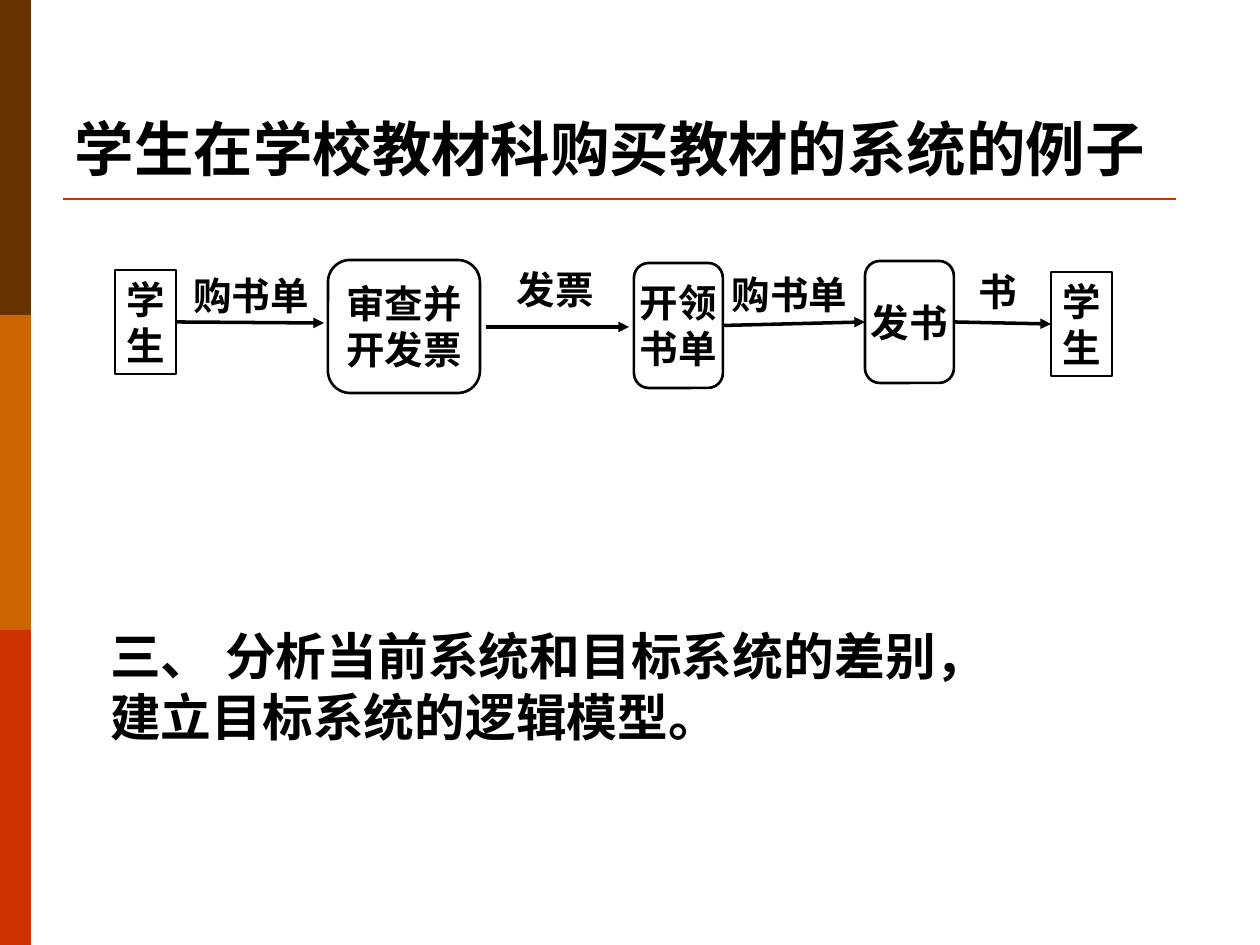
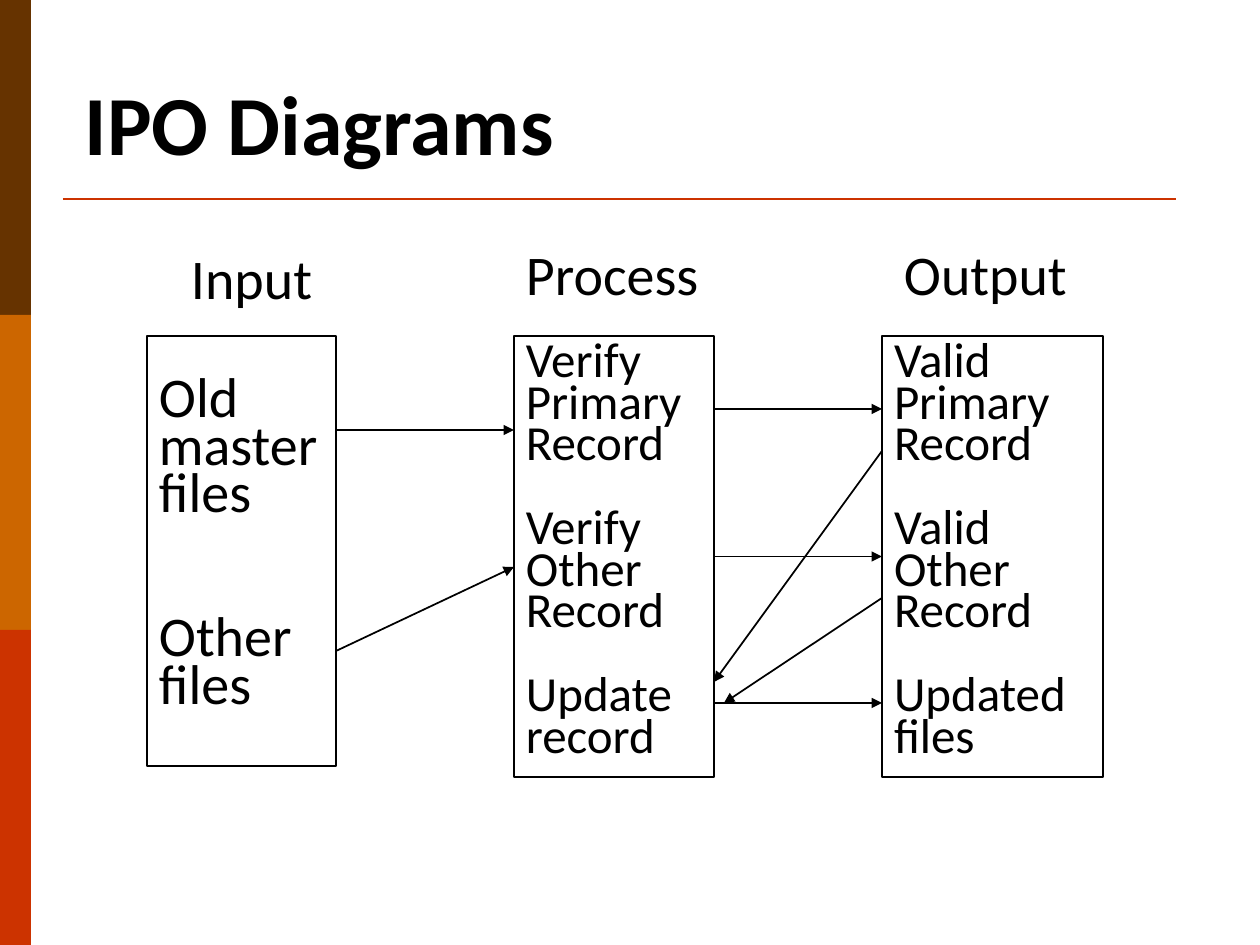
"""Build two slides: a textbook purchase flow and an IPO diagram."""
from lxml import etree
from pptx import Presentation
from pptx.dml.color import RGBColor
from pptx.enum import shapes, text
from pptx.oxml.ns import qn
from pptx.util import Pt

PX = 7257
W, H = 1260, 945
BLACK, RED = "000000", "CC3300"
BANDS = ["663300", "CC6600", RED]
CJK = "Noto Sans CJK SC"
RECT, ROUND = shapes.MSO_SHAPE.RECTANGLE, shapes.MSO_SHAPE.ROUNDED_RECTANGLE
TOP, MIDDLE, BOTTOM = text.MSO_ANCHOR.TOP, text.MSO_ANCHOR.MIDDLE, text.MSO_ANCHOR.BOTTOM
LEFT, CENTER = text.PP_ALIGN.LEFT, text.PP_ALIGN.CENTER


def put(s, at, txt="", kind=None, fill=None, border=0, size=22, font="Times New Roman",
        bold=False, align=LEFT, anchor=TOP, inset=(12, 6, 12, 6), spacing=None,
        before=0, gaps=None, tab=None):
    box = [v * PX for v in at]
    if kind is None:
        sp = s.shapes.add_textbox(*box)
    else:
        sp = s.shapes.add_shape(kind, *box)
        sp.shadow.inherit = False
        if fill:
            sp.fill.solid()
            sp.fill.fore_color.rgb = RGBColor.from_string(fill)
        else:
            sp.fill.background()
        if border:
            sp.line.color.rgb = RGBColor.from_string(BLACK)
            sp.line.width = Pt(border)
        else:
            sp.line.fill.background()
    if not txt:
        return sp
    tf = sp.text_frame
    tf.word_wrap = True
    tf.vertical_anchor = anchor
    tf.margin_left, tf.margin_top, tf.margin_right, tf.margin_bottom = [v * PX for v in inset]
    for i, row in enumerate(txt.split("\n")):
        p = tf.add_paragraph() if i else tf.paragraphs[0]
        p.text = row
        p.alignment = align
        p.line_spacing = spacing
        p.space_before = Pt((gaps or {}).get(i, before))
        if tab:
            tabs = etree.SubElement(p._p.get_or_add_pPr(), qn("a:tabLst"))
            etree.SubElement(tabs, qn("a:tab"), pos=str(tab * PX), algn="l")
        for r in p.runs:
            r.font.name, r.font.size, r.font.bold = font, Pt(size), bold
            r.font.color.rgb = RGBColor.from_string(BLACK)
            etree.SubElement(r._r.get_or_add_rPr(), qn("a:ea"), typeface=CJK)
    return sp


def line(s, ends, width=1, color=BLACK, head=True, begin=None, end=None):
    cn = s.shapes.add_connector(shapes.MSO_CONNECTOR.STRAIGHT, *[v * PX for v in ends])
    cn.line.color.rgb = RGBColor.from_string(color)
    cn.line.width = Pt(width)
    if head:
        etree.SubElement(cn.line._get_or_add_ln(), qn("a:tailEnd"), type="triangle")
    etree.SubElement(cn._element.spPr, qn("a:effectLst"))
    if begin:
        cn.begin_connect(begin, 3)
    if end:
        cn.end_connect(end, 1)


prs = Presentation()
prs.slide_width, prs.slide_height = W * PX, H * PX

titles = [
    ("学生在学校教材科购买教材的系统的例子", (63, 67, 1147, 122), 34, "Times New Roman"),
    ("IPO Diagrams", (73, 42, 1071, 136), 48, "Calibri"),
]
for title, at, size, font in titles:
    s = prs.slides.add_slide(prs.slide_layouts[6])
    for i, color in enumerate(BANDS):
        put(s, (0, i * H // 3, 31, H // 3), kind=RECT, fill=color)
    line(s, (63, 199, 1176, 199), width=1.5, color=RED, head=False)
    put(s, at, title, size=size, font=font, bold=True, anchor=BOTTOM)
flow, ipo = prs.slides

put(flow, (98, 619, 929, 134), "三、\t分析当前系统和目标系统的差别，\v建立目标系统的逻辑模型。",
    size=29, font=CJK, bold=True, tab=115)

for label, at, align in [
    ("购书单", (185, 267, 132, 52), CENTER),
    ("发票", (517, 261, 86, 52), LEFT),
    ("购书单", (732, 266, 122, 57), LEFT),
    ("书", (979, 263, 50, 43), LEFT),
]:
    put(flow, at, label, bold=True, align=align, inset=(0, 5, 0, 0))

buyer, receiver = [put(flow, (x, y, 61, 104), "学生", kind=RECT, border=1, bold=True)
                   for x, y in [(115, 270), (1051, 272)]]
check, order, issue = [
    put(flow, at, label, kind=ROUND, border=1.5, bold=True, align=CENTER,
        anchor=MIDDLE, inset=(0, 0, 0, 0))
    for label, at in [
        ("审查并开发票", (328, 260, 152, 133)),
        ("开领书单", (634, 263, 89, 125)),
        ("发书", (865, 261, 89, 122)),
    ]
]
for ends, begin, end in [
    ((176, 323, 324, 323), buyer, None),
    ((486, 327, 629, 327), None, None),
    ((723, 323, 866, 325), order, issue),
    ((956, 321, 1048, 323), issue, receiver),
]:
    line(flow, ends, width=2, begin=begin, end=end)

for heading, x, y in [("Input", 179, 237), ("Process", 514, 233), ("Output", 892, 233)]:
    put(ipo, (x, y, 220, 79), heading, size=32, font="Calibri", before=8)

sources, process, output = [
    put(ipo, (x, 336, w, h), rows, kind=RECT, border=1, size=size, font="Calibri",
        anchor=MIDDLE, spacing=0.5, before=before, gaps=gaps)
    for rows, x, w, h, size, before, gaps in [
        ("Old\nmaster\nfiles\nOther\nfiles", 147, 189, 430, 32, 8, {3: 63}),
        ("Verify\nPrimary\nRecord\nVerify\nOther\nRecord\nUpdate\nrecord",
         514, 200, 441, 28, 7, {3: 31, 6: 31}),
        ("Valid\nPrimary\nRecord\nValid\nOther\nRecord\nUpdated\nfiles",
         882, 221, 441, 28, 7, {3: 31, 6: 31}),
    ]
]
for ends in [
    (336, 430, 514, 430), (336, 651, 514, 567),
    (714, 409, 882, 409), (714, 703, 882, 703),
    (882, 451, 714, 682), (882, 598, 724, 703),
]:
    line(ipo, ends)
line(ipo, (714, 556, 882, 556), begin=process, end=output)

prs.save("out.pptx")
